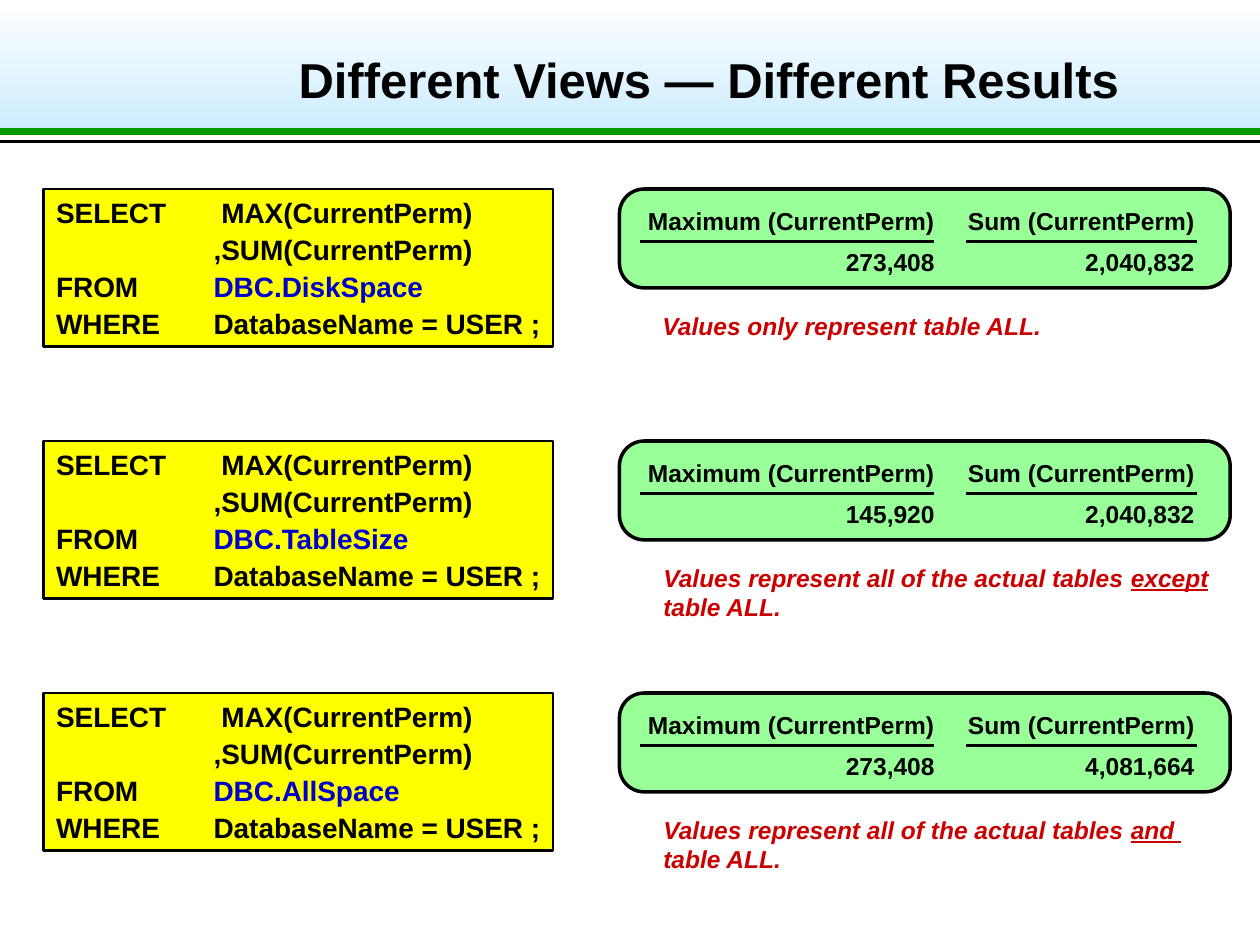
from lxml import etree
from pptx import Presentation
from pptx import util as u
from pptx.dml.color import RGBColor
from pptx.enum import shapes, text
from pptx.oxml.ns import qn

Pt = u.Pt
BLACK = RGBColor(0x00, 0x00, 0x00)
WHITE = RGBColor(0xFF, 0xFF, 0xFF)
SKY = RGBColor(0xCC, 0xEC, 0xFF)
RULE_GREEN = RGBColor(0x00, 0x99, 0x00)
YELLOW = RGBColor(0xFF, 0xFF, 0x00)
MINT = RGBColor(0x99, 0xFF, 0x99)
BLUE = RGBColor(0x00, 0x00, 0xCC)
RED = RGBColor(0xCC, 0x00, 0x00)

FIRST_ROW, ROW_PITCH = 108, 144
QUERY_TABS = [(90, "l")]
RESULT_TABS = [(167, "r"), (315.5, "r")]

# View, maximum, sum, note as (text, underlined) pieces, note left and width, note wraps
ALL_TABLES = ("Values represent all of the actual tables ", False)
ROWS = [
    ("DBC.DiskSpace", "273,408", "2,040,832",
     [("Values only represent table ALL.", False)], 371.5, 232, False),
    ("DBC.TableSize", "145,920", "2,040,832",
     [ALL_TABLES, ("except", True), (" table ALL.", False)], 372, 330, True),
    ("DBC.AllSpace", "273,408", "4,081,664",
     [ALL_TABLES, ("and ", True), (" table ALL.", False)], 372, 330, True),
]


def apply_format(target, values):
    for name, value in values.items():
        setattr(target, name, value)


def add_box(slide, kind, left, top, width, height, line_width=None):
    shape = slide.shapes.add_shape(kind, Pt(left), Pt(top), Pt(width), Pt(height))
    shape.shadow.inherit = False
    if line_width is None:
        shape.line.fill.background()
    else:
        shape.line.color.rgb = BLACK
        shape.line.width = Pt(line_width)
    return shape


def add_rule(slide, left, right, y, width, color=BLACK):
    rule = slide.shapes.add_connector(
        shapes.MSO_CONNECTOR.STRAIGHT, Pt(left), Pt(y), Pt(right), Pt(y))
    rule.line.color.rgb = color
    rule.line.width = Pt(width)
    etree.SubElement(rule._element.spPr, qn("a:effectLst"))


def set_tabs(paragraph, tabs):
    tab_list = etree.SubElement(paragraph._p.get_or_add_pPr(), qn("a:tabLst"))
    for position, alignment in tabs:
        etree.SubElement(tab_list, qn("a:tab"), pos=str(Pt(position)), algn=alignment)


def write_paragraphs(shape, paragraphs, size, wrap=True, space_before=(0,), tabs=()):
    """Each paragraph is a list of (text, extra font values, colour)."""
    frame = shape.text_frame
    apply_format(frame, {"word_wrap": wrap, "vertical_anchor": text.MSO_ANCHOR.TOP,
                         "auto_size": text.MSO_AUTO_SIZE.SHAPE_TO_FIT_TEXT})
    for index, pieces in enumerate(paragraphs):
        paragraph = frame.add_paragraph() if index else frame.paragraphs[0]
        paragraph.alignment = text.PP_ALIGN.LEFT
        paragraph.space_before = Pt(space_before[min(index, len(space_before) - 1)])
        if tabs:
            set_tabs(paragraph, tabs)
        for words, extra, color in pieces:
            run = paragraph.add_run()
            run.text = words
            apply_format(run.font, {"name": "Arial", "size": Pt(size), "bold": True, **extra})
            run.font.color.rgb = color


def add_text(slide, left, top, width, height, paragraphs, **options):
    box = slide.shapes.add_textbox(Pt(left), Pt(top), Pt(width), Pt(height))
    write_paragraphs(box, paragraphs, 14, **options)


def add_header(slide):
    band = add_box(slide, shapes.MSO_SHAPE.RECTANGLE, 0, 0, 720, 75.6)
    band.fill.gradient()
    band.fill.gradient_angle = 270
    for stop, color in zip(band.fill.gradient_stops, (WHITE, SKY)):
        stop.color.rgb = color
    add_rule(slide, 0, 720, 81, 2)
    add_rule(slide, 0, 720, 75, 4, RULE_GREEN)

    title = slide.shapes.title
    slide.shapes._spTree.append(title._element)  # in front of the band
    apply_format(title, {"left": Pt(120), "top": Pt(12), "width": Pt(570), "height": Pt(66)})
    title.text_frame.text = "Different Views — Different Results"
    apply_format(title.text_frame, {"vertical_anchor": text.MSO_ANCHOR.MIDDLE,
                                    "auto_size": text.MSO_AUTO_SIZE.NONE})
    paragraph = title.text_frame.paragraphs[0]
    paragraph.alignment = text.PP_ALIGN.CENTER
    font = paragraph.runs[0].font
    apply_format(font, {"name": "Arial", "size": Pt(28), "bold": True})
    font.color.rgb = BLACK


def add_query(slide, top, view):
    box = add_box(slide, shapes.MSO_SHAPE.RECTANGLE, 25, top, 291, 90, 1.5)
    box.fill.solid()
    box.fill.fore_color.rgb = YELLOW
    write_paragraphs(box, [
        [("SELECT\t MAX(CurrentPerm)", {}, BLACK)],
        [("\t,SUM(CurrentPerm)", {}, BLACK)],
        [("FROM\t", {}, BLACK), (view, {}, BLUE)],
        [("WHERE\tDatabaseName = USER ;", {}, BLACK)],
    ], 16, wrap=False, space_before=(2,), tabs=QUERY_TABS)


def add_result(slide, top, maximum, total):
    panel = add_box(slide, shapes.MSO_SHAPE.ROUNDED_RECTANGLE, 354, top, 349, 56.5, 2)
    panel.adjustments[0] = 0.25
    panel.fill.solid()
    panel.fill.fore_color.rgb = MINT
    add_text(slide, 360, top + 6, 337, 48, [
        [("\tMaximum (CurrentPerm)\tSum (CurrentPerm)", {}, BLACK)],
        [(f"\t{maximum}\t{total}", {}, BLACK)],
    ], space_before=(0, 7), tabs=RESULT_TABS)
    for left, right in ((366, 534), (552, 684)):
        add_rule(slide, left, right, top + 30, 1.5)


def add_note(slide, top, pieces, left, width, wrap):
    runs = [(words, {"italic": True, "underline": underlined}, RED)
            for words, underlined in pieces]
    add_text(slide, left, top + 66, width, 41 if wrap else 24, [runs], wrap=wrap)


def main():
    presentation = Presentation()
    apply_format(presentation, {"slide_width": Pt(720), "slide_height": Pt(540)})
    slide = presentation.slides.add_slide(presentation.slide_layouts[5])
    add_header(slide)
    # One row per view: query, result, note
    for index, (view, maximum, total, *note) in enumerate(ROWS):
        top = FIRST_ROW + index * ROW_PITCH
        add_query(slide, top, view)
        add_result(slide, top, maximum, total)
        add_note(slide, top, *note)
    presentation.save("out.pptx")


if __name__ == "__main__":
    main()
